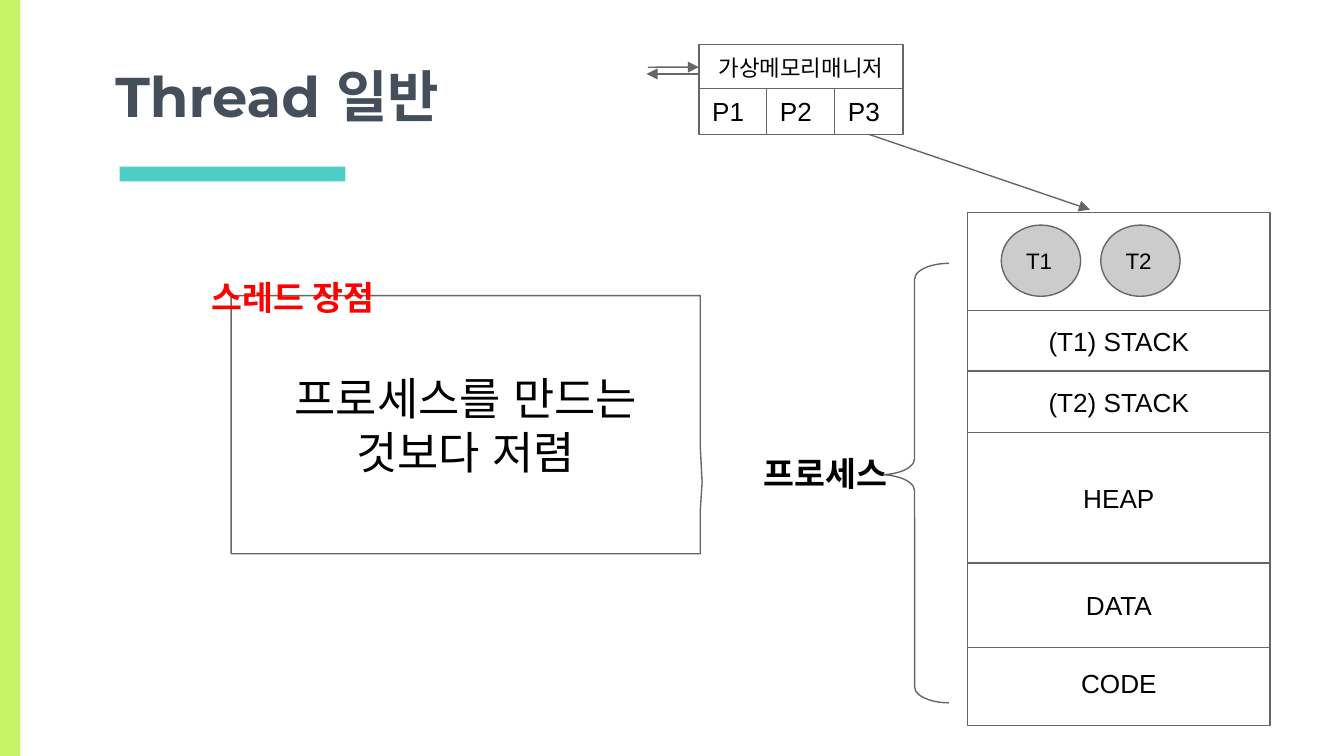
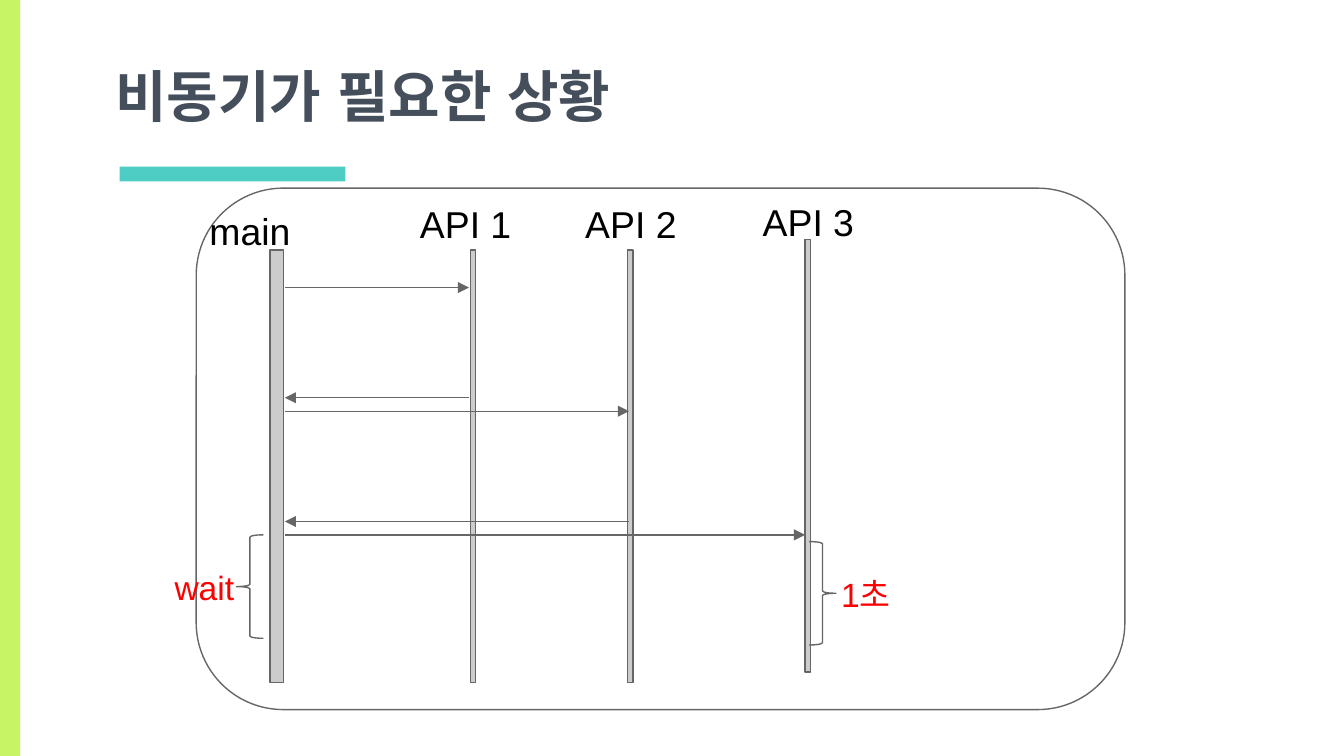
"""Builds two slides: thread basics and a case for asynchronous calls."""
from lxml import etree
from pptx import Presentation
from pptx.dml.color import RGBColor
from pptx.enum import shapes, text
from pptx.oxml import ns
from pptx import util as u

COLUMNS, ROWS = 100, 56.25
INK, GREY, SLATE, RED = "000000", "666666", "454F5B", "FF0000"
WHITE, SILVER, TEAL, LIME = "FFFFFF", "CCCCCC", "4ECDC4", "C7F464"
BODY, HEADING, LABEL = "Arial", "Montserrat", "Roboto Condensed"
KIND = shapes.MSO_SHAPE
LEFT, CENTER = text.PP_ALIGN.LEFT, text.PP_ALIGN.CENTER
TOP, MIDDLE, BOTTOM = text.MSO_ANCHOR.TOP, text.MSO_ANCHOR.MIDDLE, text.MSO_ANCHOR.BOTTOM


def cells(*counts):
    """Turn counts of grid cells, a tenth of an inch each, into lengths."""
    return [u.Inches(count / 10) for count in counts]


def color(value):
    """Turn a hex string into a colour."""
    return RGBColor.from_string(value)


def write(box, words, size, ink=INK, font=BODY, bold=False, align=CENTER, anchor=MIDDLE):
    """Put one run of text into a shape or text box."""
    frame = box.text_frame
    frame.word_wrap = True
    frame.vertical_anchor = anchor
    frame.margin_left = frame.margin_right = u.Inches(0.1)
    frame.margin_top = frame.margin_bottom = u.Inches(0.1)
    para = frame.paragraphs[0]
    para.alignment = align
    span = para.add_run()
    span.text = words
    span.font.size = u.Pt(size)
    span.font.bold = bold
    span.font.color.rgb = color(ink)
    span.font.name = font
    east = etree.SubElement(span.font._element, ns.qn("a:ea"))
    east.set("typeface", font)


def add_label(page, words, area, size, anchor=TOP, **style):
    """Add a text box."""
    box = page.shapes.add_textbox(*cells(*area))
    write(box, words, size, anchor=anchor, **style)


def add_figure(page, kind, area, fill=None, line=GREY, adjust=()):
    """Add a preset shape with plain fill and thin outline."""
    figure = page.shapes.add_shape(kind, *cells(*area))
    figure.shadow.inherit = False
    for index, value in enumerate(adjust):
        figure.adjustments[index] = value
    if fill:
        figure.fill.solid()
        figure.fill.fore_color.rgb = color(fill)
    else:
        figure.fill.background()
    if line:
        figure.line.color.rgb = color(line)
        figure.line.width = u.Pt(0.75)
    else:
        figure.line.fill.background()
    return figure


def add_block(page, words, area, size=14, align=CENTER, kind=KIND.RECTANGLE, fill=WHITE, adjust=()):
    """Add an outlined shape that holds text."""
    block = add_figure(page, kind, area, fill, adjust=adjust)
    write(block, words, size, align=align)
    return block


def add_arrow(page, start, end):
    """Add a thin line with a triangle at its end."""
    arrow = page.shapes.add_connector(shapes.MSO_CONNECTOR.STRAIGHT, *cells(*start, *end))
    arrow.line.color.rgb = color(GREY)
    arrow.line.width = u.Pt(0.75)
    etree.SubElement(arrow.line._get_or_add_ln(), ns.qn("a:tailEnd"), type="triangle")
    etree.SubElement(arrow._element.spPr, ns.qn("a:effectLst"))
    return arrow


def add_page(deck, title):
    """Add a slide with side band, title and underline."""
    page = deck.slides.add_slide(deck.slide_layouts[6])
    add_figure(page, KIND.RECTANGLE, (8.9, 12.4, 16.8, 1.1), TEAL, None)
    add_figure(page, KIND.RECTANGLE, (0, 0, 1.5, ROWS), LIME, None)
    add_label(page, title, (7.6, 0, 84.9, 10.6), 30, BOTTOM,
              ink=SLATE, font=HEADING, bold=True, align=LEFT)
    return page


def draw_process(page):
    """Draw the memory areas of one process and its threads."""
    areas = [("CODE", 47.7, 6.3), ("DATA", 41.9, 6.3), ("HEAP", 32.2, 9.7),
             ("(T1) STACK", 23.1, 4.6), ("(T2) STACK", 27.6, 4.6)]
    for name, top, height in areas:
        add_block(page, name, (72, top, 22.5, height))
    add_figure(page, KIND.RECTANGLE, (72, 15.8, 22.5, 7.3), WHITE)
    for index, name in enumerate(("T1", "T2")):
        add_block(page, name, (74.5 + 7.4 * index, 16.75, 5.9, 5.3), 12, LEFT, KIND.OVAL, SILVER)


def draw_manager(page):
    """Draw the memory manager, its processes and their arrows."""
    manager = add_block(page, "가상메모리매니저", (52, 3.3, 15.2, 3.4), 12)
    add_arrow(page, (48.2, 5), (52, 5)).end_connect(manager, 1)
    add_arrow(page, (51.9, 5.5), (48.1, 5.5))
    for index, name in enumerate(("P1", "P2", "P3")):
        process = add_block(page, name, (52 + 5.05 * index, 6.6, 5.1, 3.4), align=LEFT)
    add_arrow(page, (64.7, 10), (81.1, 15.6)).begin_connect(process, 2)


def build_thread(deck):
    """Build the slide on threads."""
    page = add_page(deck, "Thread 일반")
    draw_process(page)
    draw_manager(page)
    add_block(page, "프로세스를 만드는 것보다 저렴", (17.2, 22, 34.9, 19.2), 24,
              kind=KIND.ROUNDED_RECTANGULAR_CALLOUT, adjust=(0.504, 0.224, 0))
    add_label(page, "스레드 장점", (13.4, 19.6, 16.8, 4.7), 18, ink=RED, font=LABEL, bold=True)
    add_figure(page, KIND.LEFT_BRACE, (65.5, 19.6, 5.1, 32.7), adjust=(0.234, 0.481))
    add_label(page, "프로세스", (53, 32.7, 16.8, 4.7), 18, font=LABEL, bold=True)


def build_async(deck):
    """Build the slide with the call sequence."""
    page = add_page(deck, "비동기가 필요한 상황")
    add_figure(page, KIND.ROUNDED_RECTANGLE, (14.6, 14, 69.1, 38.8), adjust=(0.167,))
    lifelines = [("main", (14.6, 14.5, 11.2, 3.2), LEFT, (20.1, 18.6, 1)),
                 ("API 1", (27.5, 14, 14.3, 3.2), CENTER, (35, 18.6, 0.4)),
                 ("API 2", (39.8, 14, 14.3, 3.2), CENTER, (46.7, 18.6, 0.4)),
                 ("API 3", (53, 13.8, 14.3, 3.2), CENTER, (59.9, 17.8, 0.4))]
    for name, area, align, bar in lifelines:
        add_figure(page, KIND.RECTANGLE, (*bar, 32.2), SILVER)
        add_label(page, name, area, 20, align=align)
    main_side = 21.2
    calls = [(34.9, 21.4, 29.6), (46.8, 30.6, 38.8), (59.9, 39.8, None)]
    for side, call, answer in calls:
        add_arrow(page, (main_side, call), (side, call))
        if answer:
            add_arrow(page, (side, answer), (main_side, answer))
    waits = [(KIND.RIGHT_BRACE, 60.2, 40.3, "1초", 61.6),
             (KIND.LEFT_BRACE, 17.6, 39.8, "wait", 12)]
    for kind, left, top, words, words_left in waits:
        add_figure(page, kind, (left, top, 2, 7.7), adjust=(0.083, 0.5))
        add_label(page, words, (words_left, top + 1.4, 8.9, 4.7), 18, ink=RED, align=LEFT)


def main():
    """Build and save the deck."""
    deck = Presentation()
    deck.slide_width, deck.slide_height = cells(COLUMNS, ROWS)
    build_thread(deck)
    build_async(deck)
    deck.save("out.pptx")


if __name__ == "__main__":
    main()
